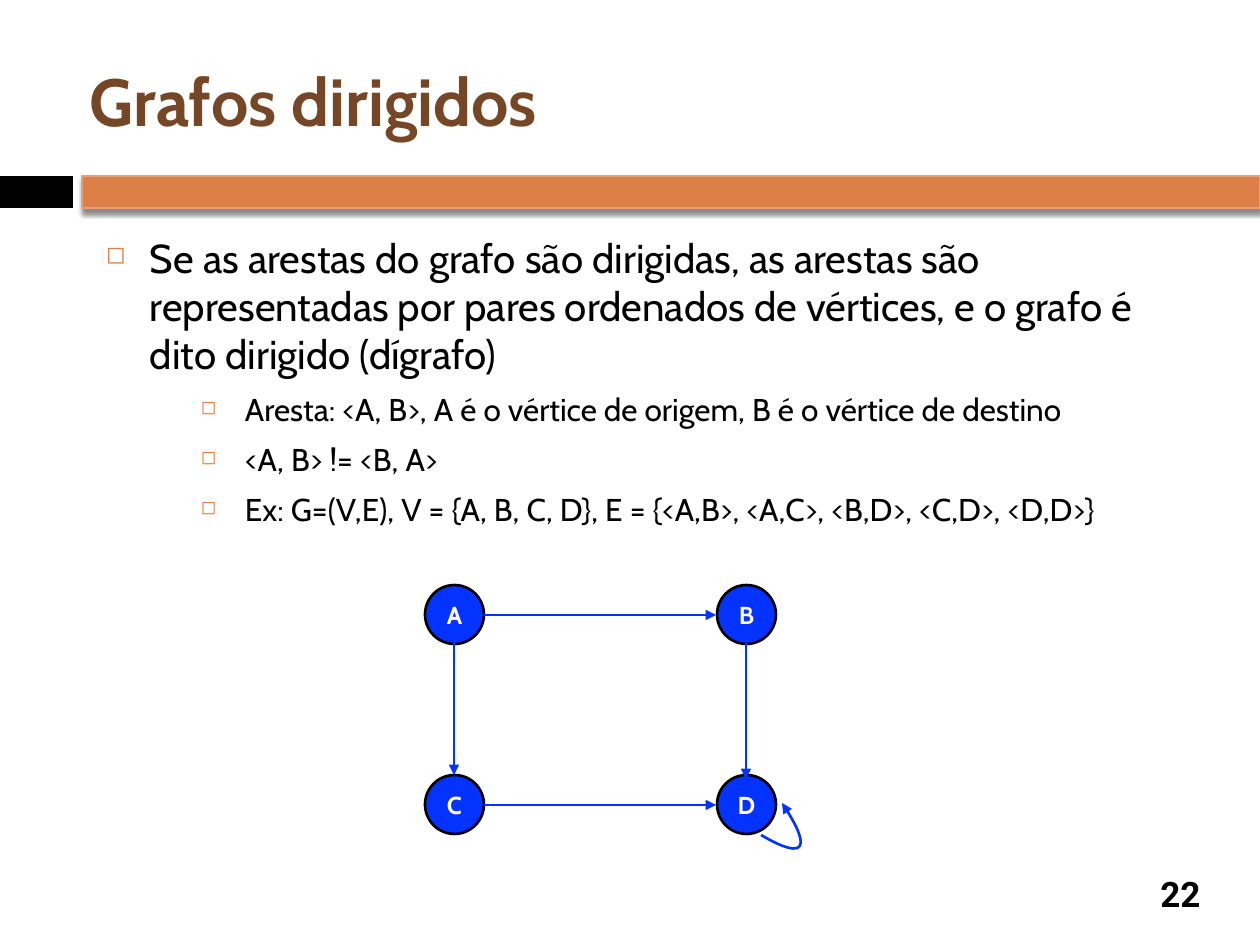
import dataclasses

import pptx
import pptx.dml.color
import pptx.enum.shapes
import pptx.enum.text
import pptx.oxml
import pptx.oxml.ns
import pptx.util

PX = 914400 / 126  # EMU per px
SHAPE = pptx.enum.shapes.MSO_SHAPE
ALIGN = pptx.enum.text.PP_ALIGN
MIDDLE = pptx.enum.text.MSO_ANCHOR.MIDDLE


@dataclasses.dataclass(frozen=True)
class Theme:
    font: str = "Cabin"
    number_font: str = "Roboto"
    black: str = "000000"
    white: str = "FFFFFF"
    brown: str = "754726"
    orange: str = "DD8047"
    light_orange: str = "E5A075"
    blue: str = "0433FF"
    title_size: int = 38
    body_size: int = 23
    sub_size: int = 18
    node_size: int = 14
    number_size: int = 20
    line_width: float = 1.5


THEME = Theme()

BULLETS = [
    (0, "Se as arestas do grafo são dirigidas, as arestas são representadas "
        "por pares ordenados de vértices, e o grafo é dito dirigido (dígrafo)"),
    (2, "Aresta: <A, B>, A é o vértice de origem, B é o vértice de destino"),
    (2, "<A, B> != <B, A>"),
    (2, "Ex: G=(V,E), V = {A, B, C, D}, E = {<A,B>, <A,C>, <B,D>, <C,D>, <D,D>}"),
]


def px(n):
    return pptx.util.Emu(round(n * PX))


def rgb(color):
    return pptx.dml.color.RGBColor.from_string(color)


def xml(tag, attrs="", inner=""):
    ns = pptx.oxml.ns.nsdecls("a")
    return pptx.oxml.parse_xml(f"<a:{tag} {ns} {attrs}>{inner}</a:{tag}>")


def style_line(line, color):
    line.color.rgb = rgb(color)
    line.width = pptx.util.Pt(THEME.line_width)


def style_frame(tf, anchor=None):
    tf.word_wrap = True
    tf.auto_size = pptx.enum.text.MSO_AUTO_SIZE.NONE
    tf.margin_left = tf.margin_right = tf.margin_top = tf.margin_bottom = px(6)
    if anchor is not None:
        tf.vertical_anchor = anchor


def style_paragraph(p, size, color, bold=False, font=THEME.font, align=ALIGN.LEFT):
    p.alignment = align
    for r in p.runs:
        r.font.name = font
        r.font.size = pptx.util.Pt(size)
        r.font.bold = bold
        r.font.color.rgb = rgb(color)


def add_shape(s, kind, x, y, w, h, fill, line=None):
    sp = s.shapes.add_shape(kind, px(x), px(y), px(w), px(h))
    sp.shadow.inherit = False
    sp.fill.solid()
    sp.fill.fore_color.rgb = rgb(fill)
    if line:
        style_line(sp.line, line)
    else:
        sp.line.fill.background()
    return sp


def add_bands(s):
    add_shape(s, SHAPE.RECTANGLE, 0, 176, 73, 32, THEME.black)
    bar = add_shape(s, SHAPE.RECTANGLE, 82, 176, 1178, 32,
                    THEME.orange, THEME.light_orange)
    effects = bar._element.spPr.find(pptx.oxml.ns.qn("a:effectLst"))
    effects.append(xml(
        "outerShdw", 'blurRad="38100" dist="30480" dir="5400000" rotWithShape="0"',
        f'<a:srgbClr val="{THEME.black}"><a:alpha val="45000"/></a:srgbClr>'))


def set_title(s, text):
    sp = s.shapes.title
    sp.left, sp.top, sp.width, sp.height = px(84), px(32), px(1124), px(136)
    tf = sp.text_frame
    tf.text = text
    style_frame(tf, MIDDLE)
    style_paragraph(tf.paragraphs[0], THEME.title_size, THEME.brown, bold=True)


def add_bullets(s, items):
    tf = s.shapes.add_textbox(px(100), px(227), px(1094), px(318)).text_frame
    style_frame(tf)
    for i, (level, text) in enumerate(items):
        p = tf.add_paragraph() if i else tf.paragraphs[0]
        p.text = text
        p.level = level
        pPr = p._p.get_or_add_pPr()
        pPr.set("marL", str(px(139 if level else 44)))
        pPr.set("indent", str(-px(44)))
        pPr.append(xml("buClr", inner=f'<a:srgbClr val="{THEME.orange}"/>'))
        pPr.append(xml("buSzPct", 'val="60000"'))
        pPr.append(xml("buChar", 'char="◻"'))
        if i:
            p.space_before = pptx.util.Pt(7)
        style_paragraph(p, THEME.sub_size if level else THEME.body_size, THEME.black)


def add_node(s, label, x, y):
    sp = add_shape(s, SHAPE.OVAL, x, y, 59, 59, THEME.blue, THEME.black)
    tf = sp.text_frame
    tf.text = label
    style_frame(tf, MIDDLE)
    style_paragraph(tf.paragraphs[0], THEME.node_size, THEME.white,
                    bold=True, align=ALIGN.CENTER)


def add_arrow(s, x1, y1, x2, y2):
    line = s.shapes.add_connector(pptx.enum.shapes.MSO_CONNECTOR.STRAIGHT,
                                  px(x1), px(y1), px(x2), px(y2))
    style_line(line.line, THEME.blue)
    line.line._get_or_add_ln().append(xml("tailEnd", 'type="triangle"'))
    line._element.spPr.append(xml("effectLst"))


def add_loop(s, controls, steps=24):
    """Draw a cubic curve with an arrowhead at its start."""
    points = []
    for i in range(steps + 1):
        t = i / steps
        weights = ((1 - t) ** 3, 3 * t * (1 - t) ** 2, 3 * t * t * (1 - t), t ** 3)
        points.append(tuple(px(sum(w * c[axis] for w, c in zip(weights, controls)))
                            for axis in (0, 1)))
    builder = s.shapes.build_freeform(*points[0])
    builder.add_line_segments(points[1:], close=False)
    sp = builder.convert_to_shape()
    sp.shadow.inherit = False
    sp.fill.background()
    style_line(sp.line, THEME.blue)
    sp.line._get_or_add_ln().append(xml("headEnd", 'type="triangle"'))


def add_graph(s):
    # Vertices on a two by two grid
    cols, rows = (425, 717), (585, 775)
    for i, label in enumerate("ABCD"):
        add_node(s, label, cols[i % 2], rows[i // 2])
    # Directed edges
    for y in rows:
        add_arrow(s, 484, y + 30, 716, y + 30)
    for x, top in zip(cols, (639, 643)):
        add_arrow(s, x + 29, top, x + 29, top + 136)
    add_loop(s, [(782, 803), (813, 849), (805, 861), (761, 835)])


def add_number(s, text):
    tf = s.shapes.add_textbox(px(1144), px(868), px(73), px(52)).text_frame
    tf.text = text
    style_frame(tf, MIDDLE)
    style_paragraph(tf.paragraphs[0], THEME.number_size, THEME.black, bold=True,
                    font=THEME.number_font, align=ALIGN.CENTER)


def main():
    prs = pptx.Presentation()
    prs.slide_width, prs.slide_height = px(1260), px(945)
    s = prs.slides.add_slide(prs.slide_layouts[5])
    add_bands(s)
    set_title(s, "Grafos dirigidos")
    add_bullets(s, BULLETS)
    add_graph(s)
    add_number(s, "22")
    prs.save("out.pptx")


if __name__ == "__main__":
    main()
